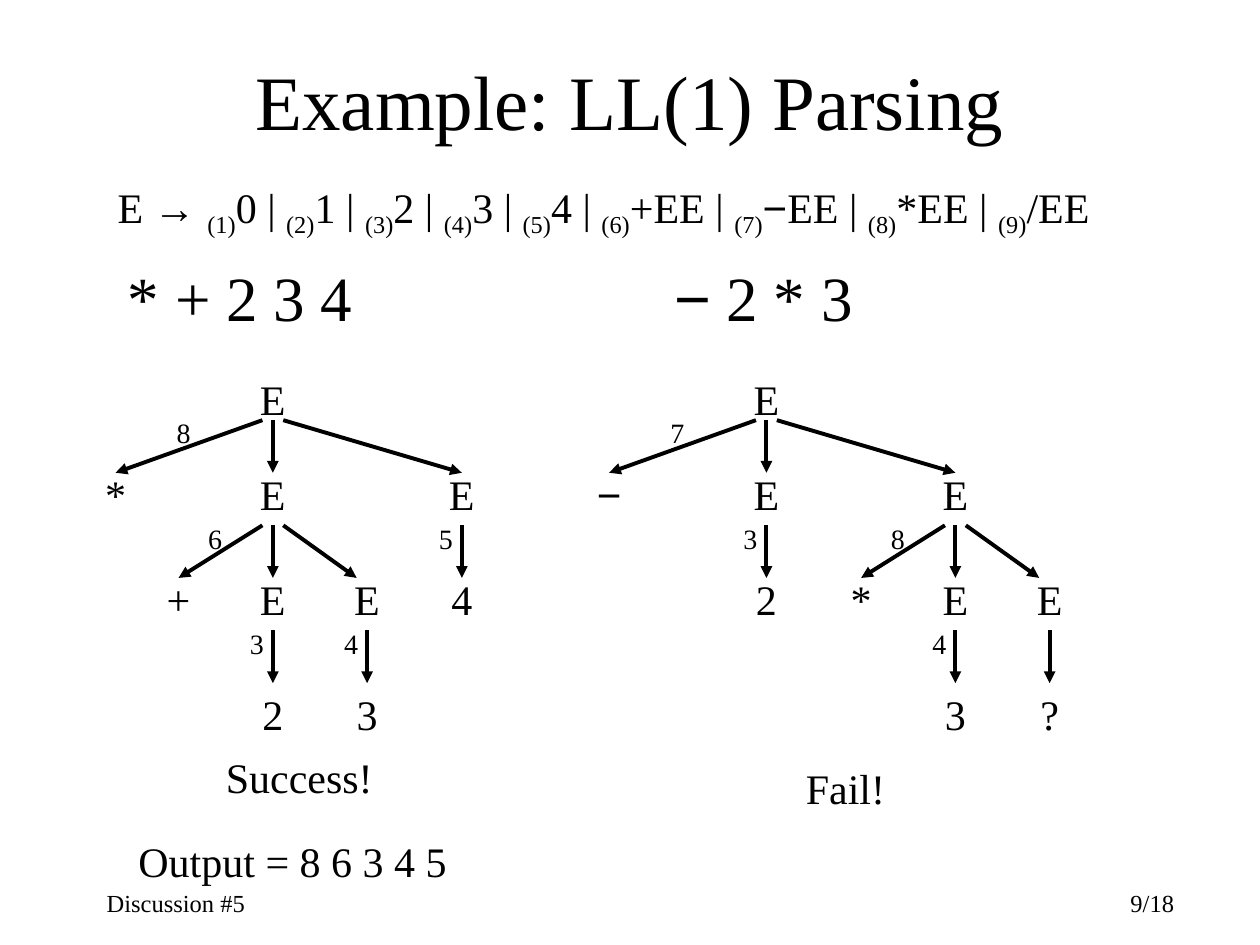
from lxml.etree import SubElement
from pptx import Presentation
from pptx.dml.color import RGBColor
from pptx.enum.shapes import MSO_CONNECTOR as Connector
from pptx.enum.text import MSO_ANCHOR as Anchor, PP_ALIGN as Align
from pptx.oxml.ns import qn
from pptx.util import Cm, Pt

BLACK = "000000"
SERIF, SANS = "Times New Roman", "Arial"

# Parse tree grid, in cm
NEAR, FAR_LEFT, FAR_RIGHT = 1.9, 3.17, 3.81
NODE_TOPS = (7.41, 9.31, 11.43, 13.76)
ARROW_TOP, ARROW_STEP, ARROW_LENGTH = 8.47, 2.12, 1.06
NODE_SIZE, LABEL_WIDTH, LABEL_HEIGHT = 1.27, 1.06, 0.93
GAP = 0.21

# A node is (symbol, number of the rule applied, [(offset, child), ...])
SUCCESS_TREE = ("E", "8", [
    (-FAR_LEFT, ("*", "", [])),
    (0, ("E", "6", [
        (-NEAR, ("+", "", [])),
        (0, ("E", "3", [(0, ("2", "", []))])),
        (NEAR, ("E", "4", [(0, ("3", "", []))])),
    ])),
    (FAR_RIGHT, ("E", "5", [(0, ("4", "", []))])),
])
FAIL_TREE = ("E", "7", [
    (-FAR_LEFT, ("−", "", [])),
    (0, ("E", "3", [(0, ("2", "", []))])),
    (FAR_RIGHT, ("E", "8", [
        (-NEAR, ("*", "", [])),
        (0, ("E", "4", [(0, ("3", "", []))])),
        (NEAR, ("E", "", [(0, ("?", "", []))])),
    ])),
])


def color(hex_string):
    return RGBColor.from_string(hex_string)


def add_run(p, text, size, subscript=False):
    r = p.add_run()
    r.text = text
    r.font.size = Pt(size)
    r.font.name = SANS if text.strip() in ("→", "−") else SERIF
    r.font.color.rgb = color(BLACK)
    if subscript:
        r._r.get_or_add_rPr().set("baseline", "-25000")


def add_text(s, box, runs, size, align=Align.LEFT, anchor=Anchor.TOP):
    """Add a text box; box is left, top, width, height in cm."""
    tf = s.shapes.add_textbox(*map(Cm, box)).text_frame
    tf.word_wrap = True
    tf.vertical_anchor = anchor
    p = tf.paragraphs[0]
    p.alignment = align
    for text, *subscript in runs:
        add_run(p, text, size, *subscript)


def add_arrow(s, x1, y1, x2, y2):
    line = s.shapes.add_connector(Connector.STRAIGHT, Cm(x1), Cm(y1), Cm(x2), Cm(y2))
    line.line.color.rgb = color(BLACK)
    line.line.width = Pt(2.25)
    SubElement(line.line._get_or_add_ln(), qn("a:tailEnd"), type="triangle")
    SubElement(line._element.spPr, qn("a:effectLst"))


def add_branch(s, x, top, offset):
    """Draw the arrow from a parent at x to its child at x + offset."""
    side = (offset > 0) - (offset < 0)
    end = x + offset - (GAP if offset == NEAR else 0)
    add_arrow(s, x + side * GAP, top, end, top + ARROW_LENGTH)


def add_tree(s, node, x, level=0):
    symbol, rule, children = node
    add_text(s, (x - NODE_SIZE / 2, NODE_TOPS[level], NODE_SIZE, NODE_SIZE),
             [(symbol,)], 24, Align.CENTER)
    top = ARROW_TOP + level * ARROW_STEP
    for offset, child in children:
        add_branch(s, x, top, offset)
        add_tree(s, child, x + offset, level + 1)
    if rule:
        first = children[0][0]
        center = x + (first / 2 - GAP if first else -0.32)
        add_text(s, (center - LABEL_WIDTH / 2, top - GAP, LABEL_WIDTH, LABEL_HEIGHT),
                 [(rule,)], 16, Align.CENTER)


def add_title(s, text):
    sp = s.shapes.title
    sp.left, sp.top, sp.width, sp.height = Cm(1.9), Cm(0.42), Cm(21.6), Cm(3.18)
    tf = sp.text_frame
    tf.vertical_anchor = Anchor.MIDDLE
    p = tf.paragraphs[0]
    p.alignment = Align.CENTER
    add_run(p, text, 44)


def grammar_runs():
    """Number the alternatives of E with subscripts."""
    runs = [("E ",), ("→ ",)]
    alternatives = (["0"], ["1"], ["2"], ["3"], ["4"],
                    ["+EE"], ["−", "EE"], ["*EE"], ["/EE"])
    for number, parts in enumerate(alternatives, 1):
        separator = " | " if number < len(alternatives) else ""
        runs.append((f"({number})", True))
        runs += [(part,) for part in parts[:-1]]
        runs.append((parts[-1] + separator,))
    return runs


def main():
    prs = Presentation()
    prs.slide_width, prs.slide_height = Cm(25.4), Cm(19.05)
    s = prs.slides.add_slide(prs.slide_layouts[5])

    add_title(s, "Example: LL(1) Parsing")
    add_text(s, (2.12, 3.6, 21.59, 1.27), grammar_runs(), 24, anchor=Anchor.MIDDLE)

    add_text(s, (2.33, 5.08, 5.72, 1.78), [("* + 2 3 4",)], 36)
    add_tree(s, SUCCESS_TREE, 5.5)
    add_text(s, (3.81, 15.03, 4.45, 1.27), [("Success!",)], 24, Align.CENTER)
    add_text(s, (2.54, 16.72, 10.16, 1.27), [("Output = 8 6 3 4 5",)], 24)

    add_text(s, (13.34, 5.08, 4.66, 1.78), [("−",), (" 2 * 3",)], 36)
    add_tree(s, FAIL_TREE, 15.45)
    add_text(s, (14.82, 15.24, 4.45, 1.27), [("Fail!",)], 24, Align.CENTER)

    add_text(s, (1.9, 17.78, 5.29, 0.85), [("Discussion #5",)], 14)
    add_text(s, (18.63, 17.78, 5.29, 0.85), [("9/18",)], 14, Align.RIGHT)
    prs.save("out.pptx")


if __name__ == "__main__":
    main()
